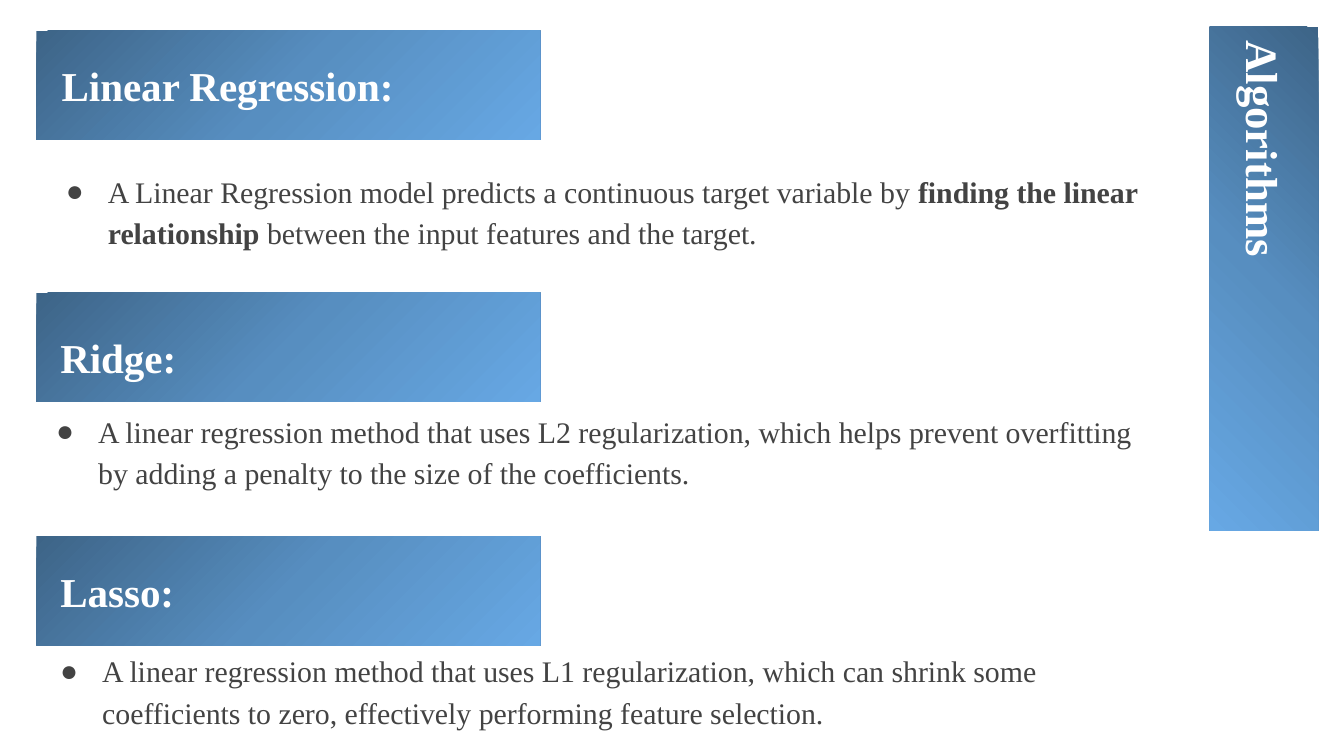
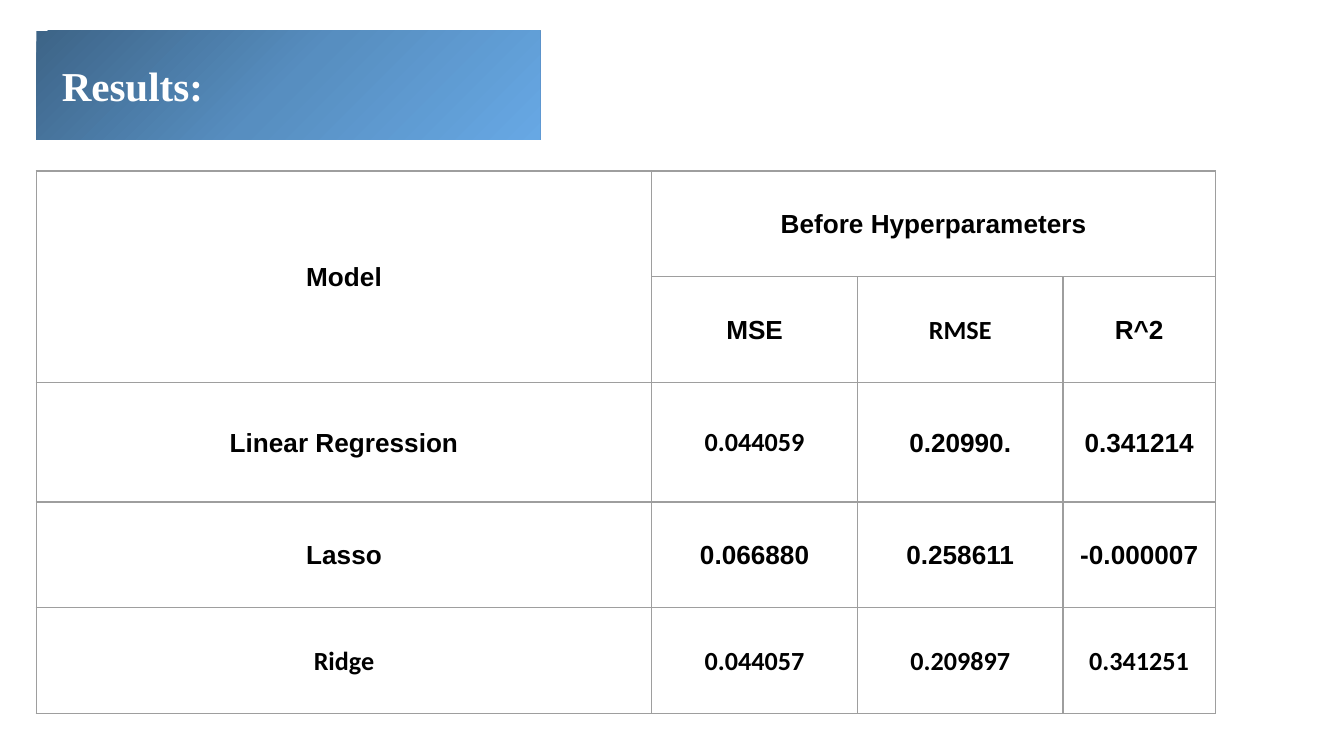
from copy import deepcopy
from dataclasses import dataclass

from lxml.etree import SubElement
from pptx import Presentation
from pptx.dml.color import RGBColor
from pptx.enum.shapes import MSO_SHAPE
from pptx.enum.text import MSO_ANCHOR, MSO_AUTO_SIZE, PP_ALIGN
from pptx.oxml.ns import qn
from pptx.util import Pt


@dataclass(frozen=True)
class Theme:
    gradient: tuple = ("3D6487", "578EC0", "67A8E4")
    light: str = "FFFFFF"
    body: str = "434343"
    ink: str = "000000"
    grid: str = "9E9E9E"
    serif: str = "Times New Roman"
    sans: str = "Arial"
    alternate: str = "Calibri"
    side_size: int = 24
    heading_size: int = 22
    body_size: int = 16
    table_size: int = 14
    inset: float = 7.2
    indent: float = 22.5


THEME = Theme()
BAND_SIZE = (270, 58.32)
HEADING_SIZE = (366.48, 74.88)
LIST_SIZE = (606.96, 120.24)
FIRST_BAND = (19.44, 16.56)
FIRST_HEADING = (25.92, -8.64)

SECTIONS = [
    ("Linear Regression:", FIRST_BAND, FIRST_HEADING, (28.08, 82.8),
     [("A Linear Regression model predicts a continuous target variable by ", False),
      ("finding the linear relationship ", True),
      ("between the input features and the target.", False)]),
    ("Ridge:", (19.44, 156.96), (25.2, 136.8), (23.04, 211.68),
     [("A linear regression method that uses L2 regularization, which helps "
       "prevent overfitting by adding a penalty to the size of the coefficients.", False)]),
    ("Lasso:", (19.44, 287.28), (25.2, 262.08), (25.2, 339.84),
     [("A linear regression method that uses L1 regularization, which can shrink "
       "some coefficients to zero, effectively performing feature selection.", False)]),
]

RESULTS = [
    ("Model", "Before Hyperparameters", "", ""),
    ("", "MSE", "RMSE", "R^2"),
    ("Linear Regression", "0.044059", "0.20990.", "0.341214"),
    ("Lasso", "0.066880", "0.258611", "-0.000007"),
    ("Ridge", "0.044057", "0.209897", "0.341251"),
]
COLUMN_WIDTHS = (329.76, 110.16, 110.16, 81.6)
ROW_HEIGHTS = (56.7, 56.7, 64, 56.7, 56.7)
ALTERNATE_CELLS = {(1, 2), (2, 1), (4, 0), (4, 1), (4, 2), (4, 3)}


def apply(target, formats):
    for attribute, value in formats.items():
        setattr(target, attribute, value)


def place(shape, corner, size):
    names = ("left", "top", "width", "height")
    apply(shape, {name: Pt(value) for name, value in zip(names, corner + size)})


def add_run(paragraph, text, size, color, font=THEME.serif, bold=True):
    run = paragraph.add_run()
    run.text = text
    apply(run.font, {"size": Pt(size), "name": font, "bold": bold})
    run.font.color.rgb = RGBColor.from_string(color)


def prepare_frame(shape, anchor):
    frame = shape.text_frame
    margins = ("margin_left", "margin_top", "margin_right", "margin_bottom")
    apply(frame, {"word_wrap": True, "auto_size": MSO_AUTO_SIZE.NONE,
                  "vertical_anchor": anchor})
    apply(frame, dict.fromkeys(margins, Pt(THEME.inset)))
    return frame.paragraphs[0]


def add_textbox(slide):
    return slide.shapes.add_textbox(0, 0, 0, 0)


def add_band(slide, corner, rotation=0):
    band = slide.shapes.add_shape(MSO_SHAPE.RECTANGLE, 0, 0, 0, 0)
    place(band, corner, BAND_SIZE)
    band.rotation = rotation
    band.shadow.inherit = False
    band.line.fill.background()
    band.fill.gradient()
    band.fill.gradient_angle = 315
    stops = band._element.spPr.find(qn("a:gradFill")).find(qn("a:gsLst"))
    stops.append(deepcopy(stops[-1]))
    for stop, color, position in zip(band.fill.gradient_stops, THEME.gradient, (0, 0.5, 1)):
        stop.color.rgb = RGBColor.from_string(color)
        stop.position = position


def raise_to_front(slide, shape):
    slide.shapes._spTree.append(shape._element)


def write_heading(shape, text, corner, size=HEADING_SIZE, rotation=0,
                  anchor=MSO_ANCHOR.BOTTOM, type_size=THEME.heading_size):
    place(shape, corner, size)
    shape.rotation = rotation
    paragraph = prepare_frame(shape, anchor)
    paragraph.alignment = PP_ALIGN.LEFT
    add_run(paragraph, text, type_size, THEME.light)


def write_bullet(shape, corner, phrases):
    place(shape, corner, LIST_SIZE)
    paragraph = prepare_frame(shape, MSO_ANCHOR.TOP)
    apply(paragraph, {"line_spacing": 1.15, "space_before": Pt(4.5),
                      "alignment": PP_ALIGN.LEFT})
    properties = paragraph._p.get_or_add_pPr()
    properties.set("marL", str(Pt(THEME.indent)))
    properties.set("indent", str(-Pt(THEME.indent)))
    bullet_color = SubElement(properties, qn("a:buClr"))
    SubElement(bullet_color, qn("a:srgbClr"), val=THEME.body)
    SubElement(properties, qn("a:buFont"), typeface=THEME.serif)
    SubElement(properties, qn("a:buChar"), char="●")
    for text, bold in phrases:
        add_run(paragraph, text, THEME.body_size, THEME.body, bold=bold)


def outline_cell(cell):
    properties = cell._tc.get_or_add_tcPr()
    for side in ("a:lnL", "a:lnR", "a:lnT", "a:lnB"):
        border = SubElement(properties, qn(side), w=str(Pt(0.75)))
        fill = SubElement(border, qn("a:solidFill"))
        SubElement(fill, qn("a:srgbClr"), val=THEME.grid)
    cell.fill.background()


def add_results_table(slide):
    table = slide.shapes.add_table(
        len(ROW_HEIGHTS), len(COLUMN_WIDTHS), Pt(19.44), Pt(91.6),
        Pt(sum(COLUMN_WIDTHS)), Pt(sum(ROW_HEIGHTS))).table
    apply(table, {"first_row": False, "horz_banding": False})
    for column, width in zip(table.columns, COLUMN_WIDTHS):
        column.width = Pt(width)
    for row, height in zip(table.rows, ROW_HEIGHTS):
        row.height = Pt(height)
    table.cell(0, 0).merge(table.cell(1, 0))
    table.cell(0, 1).merge(table.cell(0, 3))
    for row_index, values in enumerate(RESULTS):
        for column_index, value in enumerate(values):
            cell = table.cell(row_index, column_index)
            apply(cell, {"vertical_anchor": MSO_ANCHOR.MIDDLE, "margin_left": Pt(0.75),
                         "margin_right": Pt(0.75), "margin_top": Pt(0.75),
                         "margin_bottom": 0})
            outline_cell(cell)
            if value:
                alternate = (row_index, column_index) in ALTERNATE_CELLS
                paragraph = cell.text_frame.paragraphs[0]
                paragraph.alignment = PP_ALIGN.CENTER
                add_run(paragraph, value, THEME.table_size, THEME.ink,
                        THEME.alternate if alternate else THEME.sans)


def build_algorithms(deck):
    slide = deck.slides.add_slide(deck.slide_layouts[1])
    add_band(slide, (542.16, 120.24), rotation=90)
    title = slide.shapes.title
    raise_to_front(slide, title)
    write_heading(title, "Algorithms", (583.2, 79.2), (187.92, 58.32), 90,
                  MSO_ANCHOR.MIDDLE, THEME.side_size)
    for index, (name, band, heading, description, phrases) in enumerate(SECTIONS):
        add_band(slide, band)
        write_heading(add_textbox(slide), name, heading)
        summary = add_textbox(slide) if index else slide.placeholders[1]
        write_bullet(summary, description, phrases)


def build_results(deck):
    slide = deck.slides.add_slide(deck.slide_layouts[5])
    add_band(slide, FIRST_BAND)
    title = slide.shapes.title
    raise_to_front(slide, title)
    write_heading(title, "Results:", FIRST_HEADING)
    add_results_table(slide)


def main():
    deck = Presentation()
    apply(deck, {"slide_width": Pt(720), "slide_height": Pt(405)})
    build_algorithms(deck)
    build_results(deck)
    deck.save("out.pptx")


if __name__ == "__main__":
    main()
